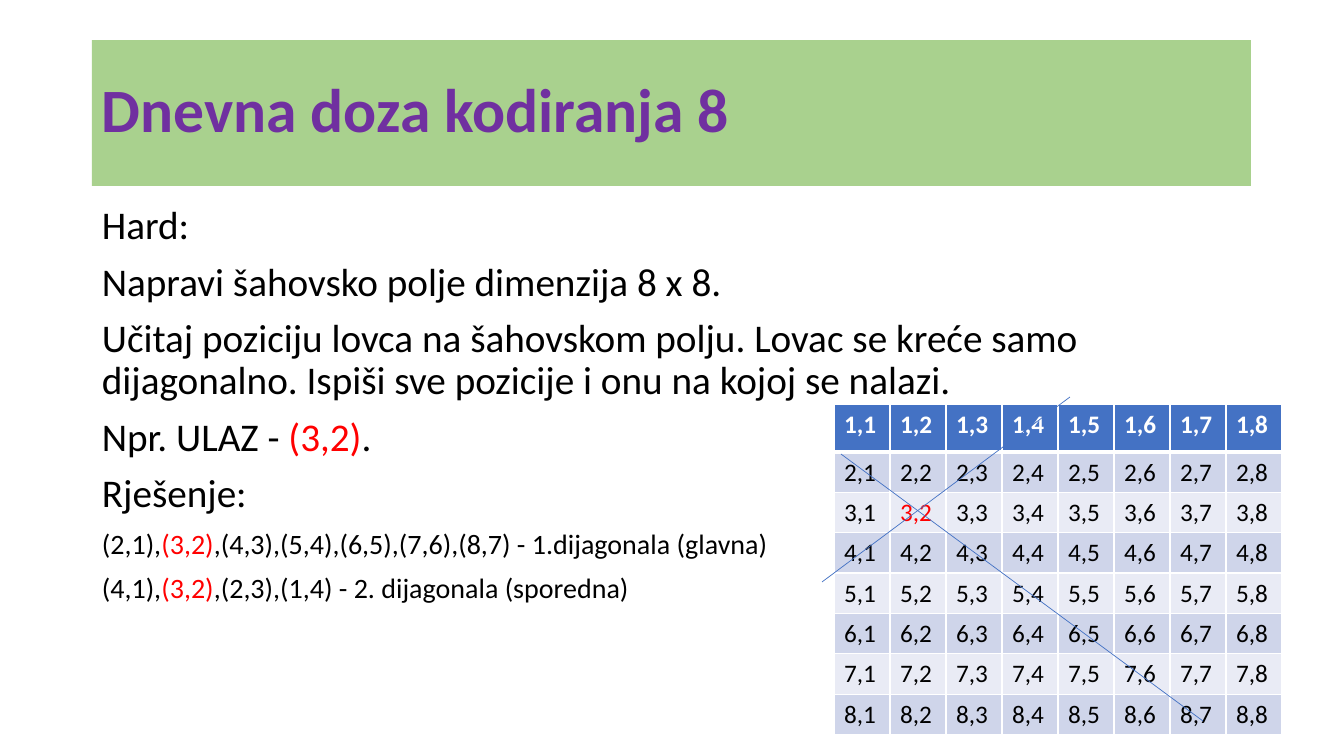
import lxml.etree
import pptx
import pptx.dml.color
import pptx.enum.shapes
import pptx.enum.text
import pptx.oxml.ns
import pptx.util

RGBColor = pptx.dml.color.RGBColor
GREEN = RGBColor(0xA9, 0xD1, 0x8E)
PURPLE = RGBColor(0x70, 0x30, 0xA0)
BLACK = RGBColor(0, 0, 0)
RED = RGBColor(0xFF, 0, 0)
WHITE = RGBColor(0xFF, 0xFF, 0xFF)
BLUE = RGBColor(0x44, 0x72, 0xC4)
DARK_BAND = RGBColor(0xCF, 0xD5, 0xEA)
LIGHT_BAND = RGBColor(0xE9, 0xEB, 0xF5)

SLIDE_WIDTH, SLIDE_HEIGHT = 1344, 756
EMU_PER_PX = 12192000 / SLIDE_WIDTH
FONT = "Calibri"
BOARD_SIZE = 8
BISHOP = "3,2"
BISHOP_MARK = f"({BISHOP})"

TASK_LINES = [
    (28, "Hard:"),
    (28, "Napravi šahovsko polje dimenzija 8 x 8."),
    (28, "Učitaj poziciju lovca na šahovskom polju. Lovac se kreće samo "
         "dijagonalno. Ispiši sve pozicije i onu na kojoj se nalazi."),
    (28, "Npr. ULAZ - (3,2)."),
    (28, "Rješenje:"),
    (20, "(2,1),(3,2),(4,3),(5,4),(6,5),(7,6),(8,7) - 1.dijagonala (glavna)"),
    (20, "(4,1),(3,2),(2,3),(1,4) - 2. dijagonala (sporedna)"),
]


def px(length):
    """Turn pixels into EMU."""
    return pptx.util.Emu(round(length * EMU_PER_PX))


def style_span(span, size, color, bold=False):
    """Set the font of one run."""
    span.font.name = FONT
    span.font.size = pptx.util.Pt(size)
    span.font.bold = bold
    span.font.color.rgb = color


def add_title(page, box, text):
    """Draw the green title band."""
    band = page.shapes.add_shape(
        pptx.enum.shapes.MSO_SHAPE.RECTANGLE, *map(px, box))
    band.shadow.inherit = False
    band.fill.solid()
    band.fill.fore_color.rgb = GREEN
    band.line.fill.background()
    frame = band.text_frame
    frame.word_wrap = True
    frame.vertical_anchor = pptx.enum.text.MSO_ANCHOR.MIDDLE
    frame.text = text
    para = frame.paragraphs[0]
    para.alignment = pptx.enum.text.PP_ALIGN.LEFT
    para.line_spacing = 0.9
    style_span(para.runs[0], 44, PURPLE, bold=True)


def add_task(page, box, lines):
    """Write the task, with the bishop's position in red."""
    frame = page.shapes.add_textbox(*map(px, box)).text_frame
    frame.word_wrap = True
    for index, (size, text) in enumerate(lines):
        para = frame.add_paragraph() if index else frame.paragraphs[0]
        para.line_spacing = 0.9
        para.space_before = pptx.util.Pt(10)
        before, mark, after = text.partition(BISHOP_MARK)
        for part in filter(None, (before, mark, after)):
            span = para.add_run()
            span.text = part
            style_span(span, size, RED if part == BISHOP_MARK else BLACK)


def add_border(cell, side, points):
    """Draw one white border of a cell."""
    qn = pptx.oxml.ns.qn
    properties = cell._tc.get_or_add_tcPr()
    line = lxml.etree.SubElement(
        properties, qn(f"a:ln{side}"), w=str(pptx.util.Pt(points)))
    fill = lxml.etree.SubElement(line, qn("a:solidFill"))
    lxml.etree.SubElement(fill, qn("a:srgbClr"), val=str(WHITE))


def add_diagonal(page, start, end):
    """Draw one thin line of the bishop's moves."""
    diagonal = page.shapes.add_connector(
        pptx.enum.shapes.MSO_CONNECTOR.STRAIGHT, *map(px, start + end))
    diagonal.line.color.rgb = BLUE
    diagonal.line.width = pptx.util.Pt(0.5)
    lxml.etree.SubElement(
        diagonal._element.spPr, pptx.oxml.ns.qn("a:effectLst"))


def add_board(page, box):
    """Build the numbered chessboard and the bishop's two diagonals."""
    left, top, width, height = box
    board = page.shapes.add_table(BOARD_SIZE, BOARD_SIZE, *map(px, box))
    for column in board.table.columns:
        column.width = px(width / BOARD_SIZE)
    for row_index, row in enumerate(board.table.rows):
        header = row_index == 0
        row.height = px(48 if header else 30)
        band = BLUE if header else DARK_BAND if row_index % 2 else LIGHT_BAND
        for column_index, cell in enumerate(row.cells):
            for side in "LRTB":
                thick = (side, row_index) in (("B", 0), ("T", 1))
                add_border(cell, side, 3 if thick else 1)
            cell.fill.solid()
            cell.fill.fore_color.rgb = band
            cell.text = f"{row_index + 1},{column_index + 1}"
            color = WHITE if header else RED if cell.text == BISHOP else BLACK
            style_span(cell.text_frame.paragraphs[0].runs[0], 18, color, header)
    board.height = px(height)
    add_diagonal(page, (left + 7, top + 50), (left + 369, top + 317))
    add_diagonal(page, (left - 12, top + 178), (left + 236, top - 7))


def main():
    """Build and save the deck."""
    deck = pptx.Presentation()
    deck.slide_width, deck.slide_height = px(SLIDE_WIDTH), px(SLIDE_HEIGHT)
    page = deck.slides.add_slide(deck.slide_layouts[6])
    add_title(page, (92, 40, 1159, 146), "Dnevna doza kodiranja 8")
    add_task(page, (92, 201, 1159, 480), TASK_LINES)
    add_board(page, (834, 404, 448, 331))
    deck.save("out.pptx")


if __name__ == "__main__":
    main()
